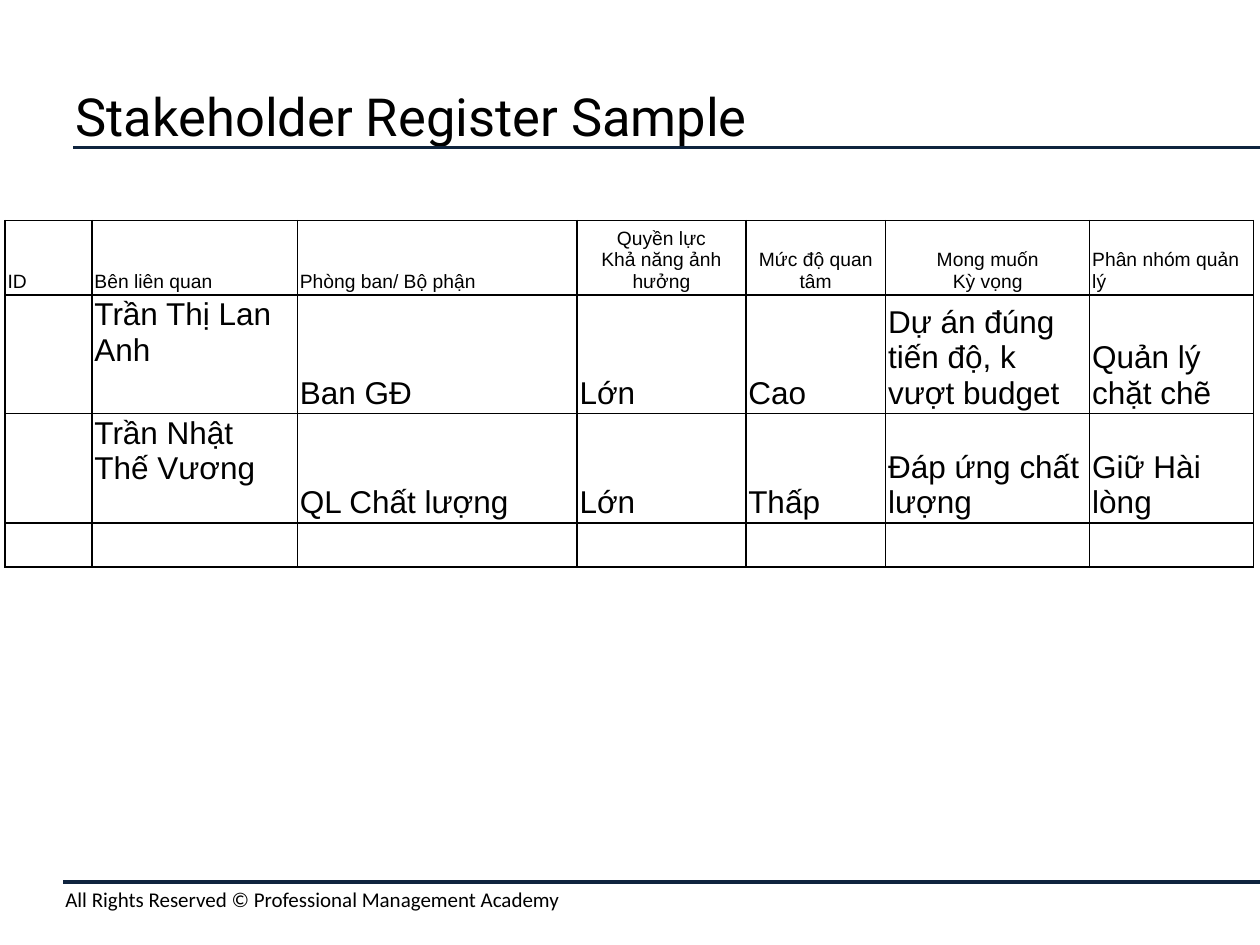
from dataclasses import dataclass

from lxml import etree
from pptx import Presentation
from pptx.dml.color import RGBColor
from pptx.enum.shapes import MSO_CONNECTOR
from pptx.enum.text import MSO_ANCHOR, PP_ALIGN
from pptx.oxml.ns import qn
from pptx.util import Inches, Pt

STRAIGHT = MSO_CONNECTOR.STRAIGHT
TOP, MIDDLE, BOTTOM = MSO_ANCHOR.TOP, MSO_ANCHOR.MIDDLE, MSO_ANCHOR.BOTTOM
LEFT, CENTER = PP_ALIGN.LEFT, PP_ALIGN.CENTER
TITLE_ONLY = 5


@dataclass(frozen=True)
class Theme:
    ink: RGBColor = RGBColor(0x00, 0x00, 0x00)
    rule: RGBColor = RGBColor(0x0F, 0x24, 0x3E)
    border: str = "000000"
    title_font: str = "Roboto"
    table_font: str = "Arial"
    footer_font: str = "Calibri"
    title_size: int = 30
    header_size: int = 11
    body_size: int = 18
    footer_size: int = 12
    rule_width: int = 2
    border_width: int = 1


THEME = Theme()
SLIDE_WIDTH, SLIDE_HEIGHT = 10, 7.5
COLUMN_WIDTHS = [0.69, 1.63, 2.22, 1.34, 1.11, 1.62, 1.3]
ROW_HEIGHTS = [0.57, 0.87, 0.87, 0.35]
CELL_MARGIN = 0.02
NAME_COLUMN = 1
CENTERED_HEADERS = (3, 4, 5)
REGISTER = [
    ["ID", "Bên liên quan", "Phòng ban/ Bộ phận",
     "Quyền lực\vKhả năng ảnh hưởng", "Mức độ quan tâm",
     "Mong muốn\vKỳ vọng", "Phân nhóm quản lý"],
    ["", "Trần Thị Lan Anh", "Ban GĐ", "Lớn", "Cao",
     "Dự án đúng tiến độ, k vượt budget", "Quản lý chặt chẽ"],
    ["", "Trần Nhật Thế Vương", "QL Chất lượng", "Lớn", "Thấp",
     "Đáp ứng chất lượng", "Giữ Hài lòng"],
    [""] * len(COLUMN_WIDTHS),
]


def write(frame, text, font_name, size, alignment=LEFT):
    frame.text = text
    para = frame.paragraphs[0]
    para.alignment = alignment
    para.font.name = font_name
    para.font.size = Pt(size)
    para.font.color.rgb = THEME.ink


def add_rule(page, left, top):
    rule = page.shapes.add_connector(
        STRAIGHT, Inches(left), Inches(top), Inches(SLIDE_WIDTH), Inches(top))
    rule.line.color.rgb = THEME.rule
    rule.line.width = Pt(THEME.rule_width)
    etree.SubElement(rule._element.spPr, qn("a:effectLst"))


def add_title(page, left, top, width, height):
    title = page.shapes.title
    title.left, title.top = Inches(left), Inches(top)
    title.width, title.height = Inches(width), Inches(height)
    title.text_frame.vertical_anchor = MIDDLE
    write(title.text_frame, "Stakeholder Register Sample",
          THEME.title_font, THEME.title_size)


def add_footer(page, left, top, width, height):
    box = page.shapes.add_textbox(
        Inches(left), Inches(top), Inches(width), Inches(height))
    box.text_frame.word_wrap = True
    write(box.text_frame, "All Rights Reserved © Professional Management Academy",
          THEME.footer_font, THEME.footer_size)


def draw_borders(cell):
    properties = cell._tc.get_or_add_tcPr()
    for side in ("a:lnL", "a:lnR", "a:lnT", "a:lnB"):
        line = etree.SubElement(properties, qn(side), w=str(Pt(THEME.border_width)))
        fill = etree.SubElement(line, qn("a:solidFill"))
        etree.SubElement(fill, qn("a:srgbClr"), val=THEME.border)


def format_cell(cell, text, row, column):
    is_header = row == 0
    size = THEME.header_size if is_header else THEME.body_size
    centered = is_header and column in CENTERED_HEADERS
    write(cell.text_frame, text, THEME.table_font, size,
          CENTER if centered else LEFT)
    is_name = column == NAME_COLUMN and not is_header
    cell.vertical_anchor = TOP if is_name else BOTTOM
    cell.margin_left = cell.margin_right = Inches(CELL_MARGIN)
    cell.margin_top = cell.margin_bottom = Inches(CELL_MARGIN)
    draw_borders(cell)
    cell.fill.background()


def add_register(page, left, top):
    table = page.shapes.add_table(
        len(ROW_HEIGHTS), len(COLUMN_WIDTHS), Inches(left), Inches(top),
        Inches(sum(COLUMN_WIDTHS)), Inches(sum(ROW_HEIGHTS))).table
    table.first_row = table.horz_banding = False
    for column, width in zip(table.columns, COLUMN_WIDTHS):
        column.width = Inches(width)
    for row, height in zip(table.rows, ROW_HEIGHTS):
        row.height = Inches(height)
    for row, texts in enumerate(REGISTER):
        for column, text in enumerate(texts):
            format_cell(table.cell(row, column), text, row, column)


def main():
    deck = Presentation()
    deck.slide_width, deck.slide_height = Inches(SLIDE_WIDTH), Inches(SLIDE_HEIGHT)
    page = deck.slides.add_slide(deck.slide_layouts[TITLE_ONLY])
    add_rule(page, 0.58, 1.17)
    add_rule(page, 0.5, 7)
    add_footer(page, 0.42, 6.99, 9.58, 0.3)
    add_title(page, 0.5, 0.5, 9, 0.83)
    add_register(page, 0.04, 1.75)
    deck.save("out.pptx")


if __name__ == "__main__":
    main()
